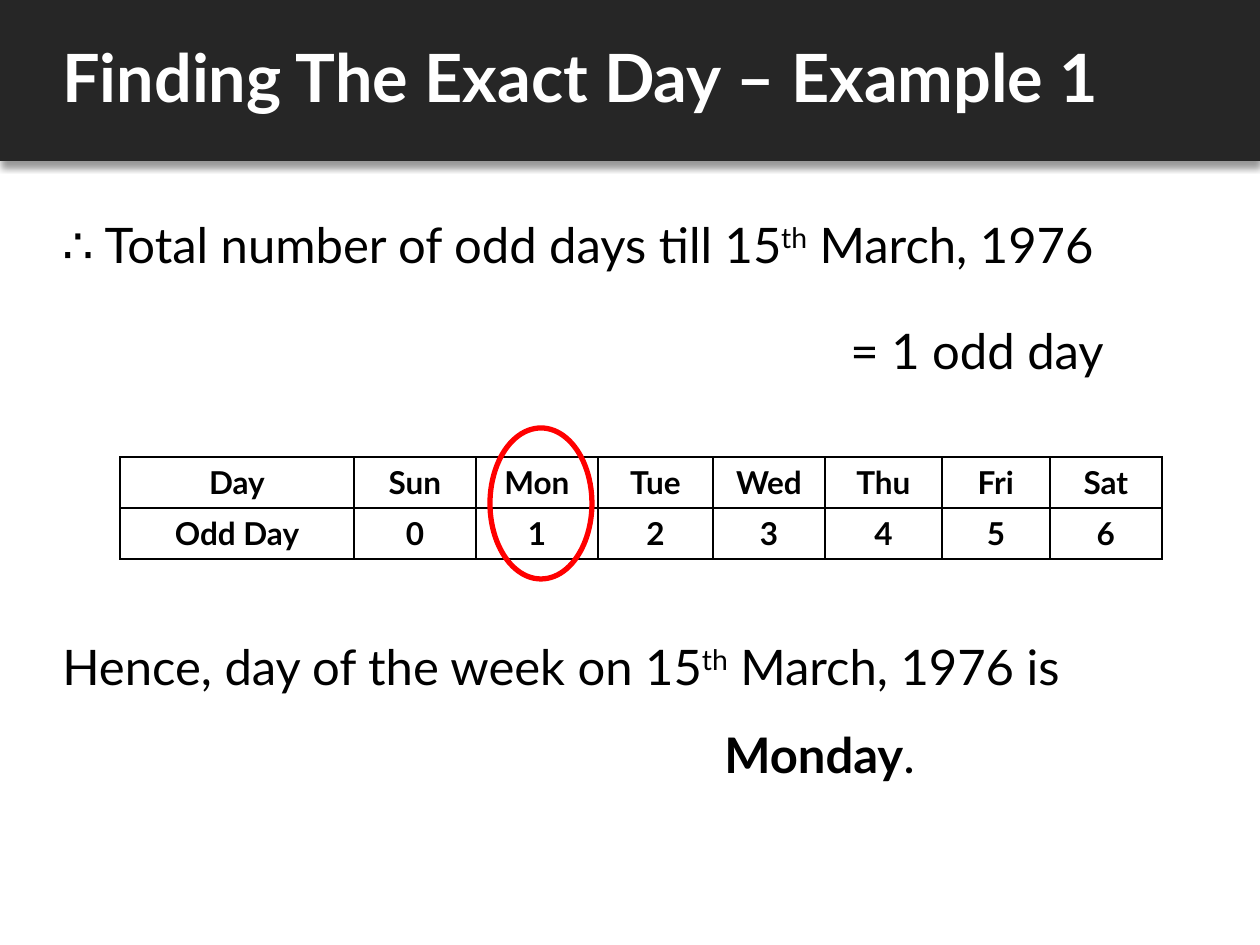
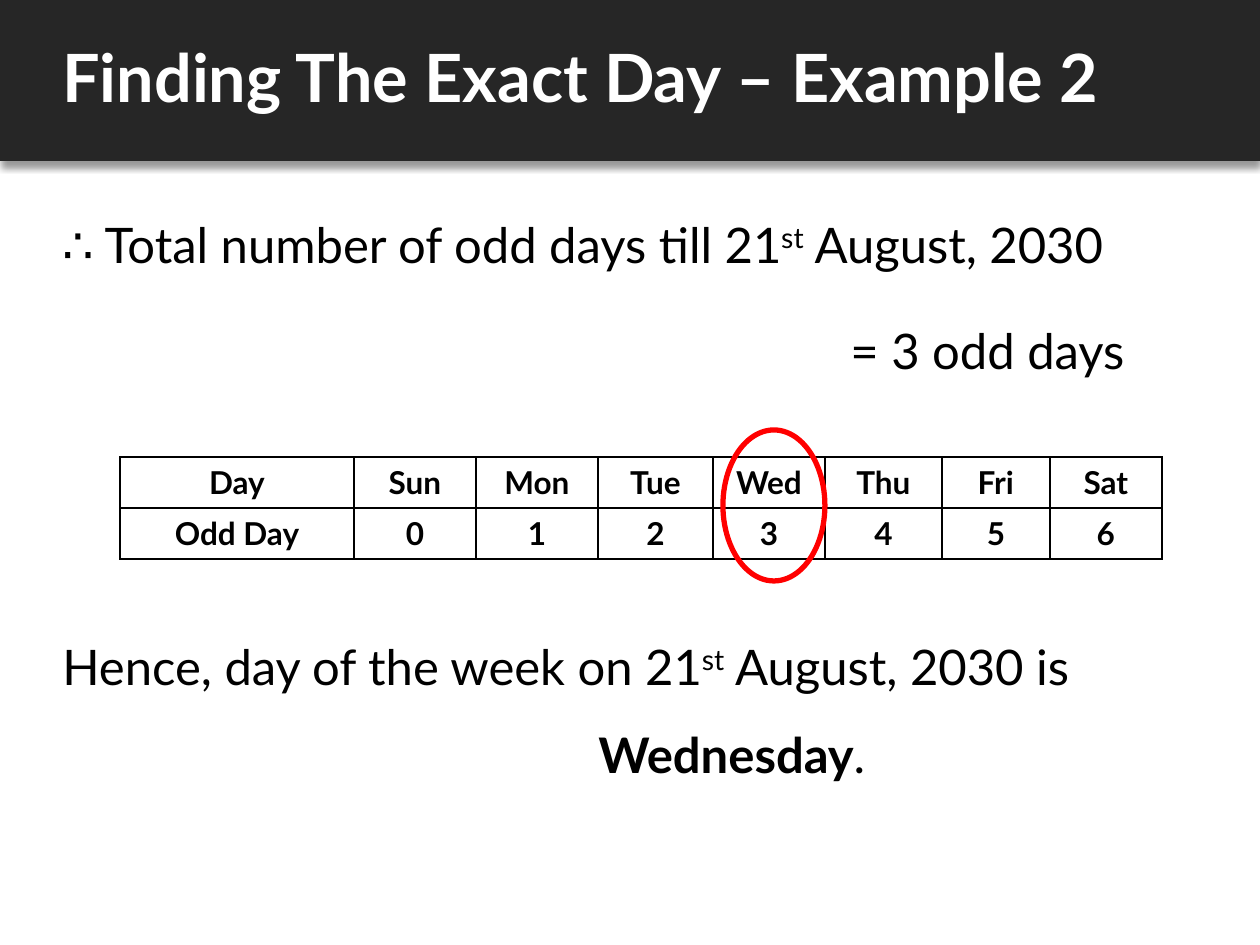
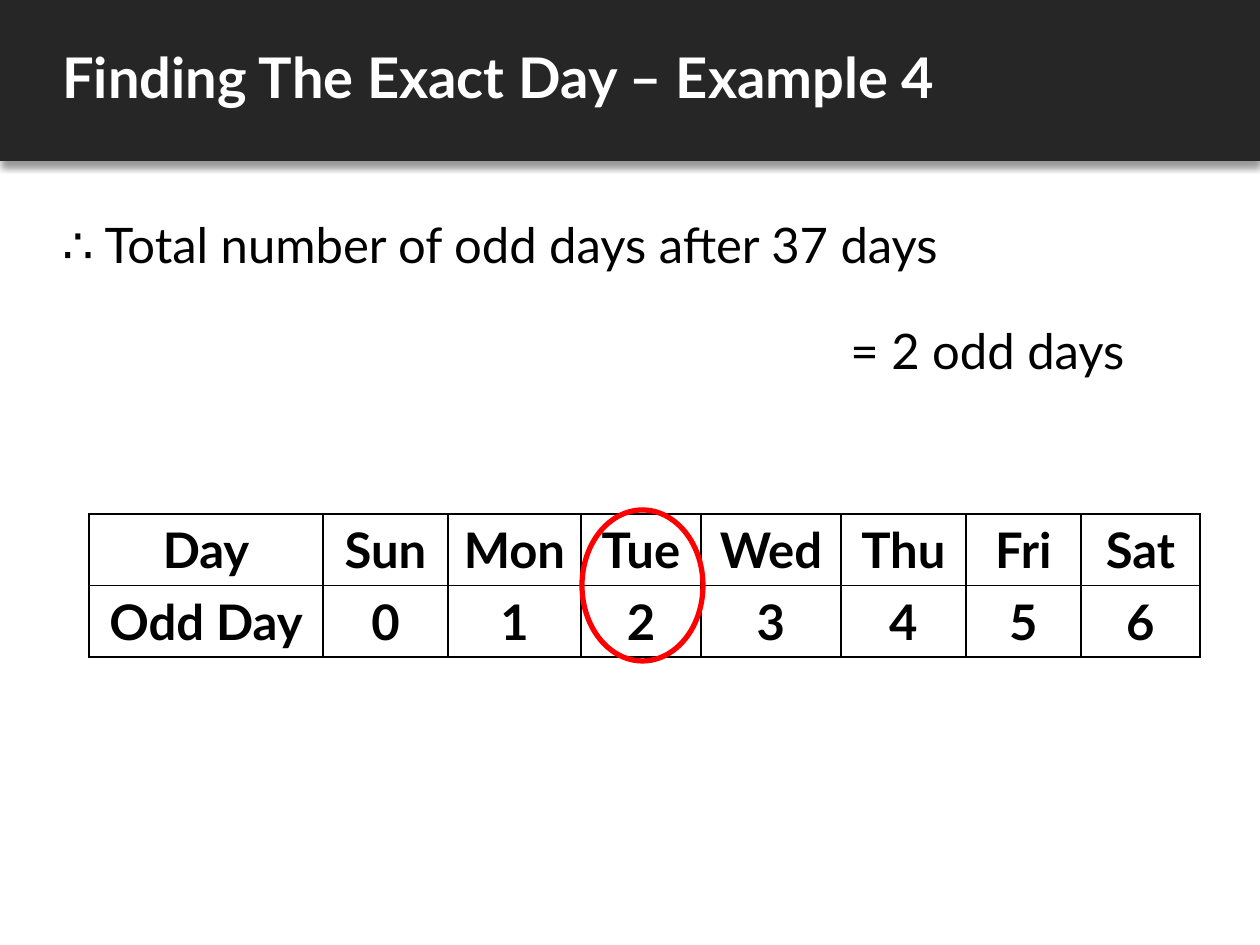
from dataclasses import dataclass

from lxml import etree
from pptx import Presentation, util as u
from pptx.dml.color import RGBColor
from pptx.enum import shapes, text
from pptx.oxml import parse_xml
from pptx.oxml.ns import nsdecls

PX = 914400 // 126


@dataclass(frozen=True)
class Theme:
    font: str = "Lato"
    ink: RGBColor = RGBColor(0, 0, 0)
    paper: RGBColor = RGBColor(255, 255, 255)
    band: RGBColor = RGBColor(0x26, 0x26, 0x26)
    ring: RGBColor = RGBColor(255, 0, 0)
    body_size: int = 28


THEME = Theme()

BAND_HEIGHT = 161
MARGIN = 50
RESULT_INDENT = 788
BLOCK_GAP = 130  # points left free for the table
RING_HEIGHT = 151

DAYS = ["Day", "Sun", "Mon", "Tue", "Wed", "Thu", "Fri", "Sat"]
ODD_DAYS = ["Odd Day", "0", "1", "2", "3", "4", "5", "6"]

SMALL_TABLE = dict(left=120, top=457, row=51, size=18,
                   columns=[234, 122, 122, 115, 112, 117, 108, 112])
LARGE_TABLE = dict(left=89, top=514, row=71, size=28,
                   columns=[234, 125, 133, 120, 140, 125, 115, 119])

# A line is (left indent in px, space before in points, [(text, style), ...]).
EXAMPLES = [
    dict(number=1, title_size=38, table=SMALL_TABLE, ring=(490, 428, 102), lines=[
        (0, 0, [("∴ Total number of odd days till 15", ""), ("th", "super"),
                (" March, 1976", "")]),
        (RESULT_INDENT, 10, [("= 1 odd day", "")]),
        (0, BLOCK_GAP, [("Hence, day of the week on 15", ""), ("th", "super"),
                        (" March, 1976 is", "")]),
        (662, 0, [("Monday", "bold"), (".", "")]),
    ]),
    dict(number=2, title_size=38, table=SMALL_TABLE, ring=(723, 430, 102), lines=[
        (0, 0, [("∴ Total number of odd days till 21", ""), ("st", "super"),
                (" August, 2030", "")]),
        (RESULT_INDENT, 10, [("= 3 odd days", "")]),
        (0, BLOCK_GAP, [("Hence, day of the week on 21", ""), ("st", "super"),
                        (" August, 2030 is", "")]),
        (536, 0, [("Wednesday", "bold"), (".", "")]),
    ]),
    dict(number=4, title_size=32, table=LARGE_TABLE, ring=(582, 510, 121), lines=[
        (0, 0, [("∴ Total number of odd days after 37 days", "")]),
        (RESULT_INDENT, 10, [("= 2 odd days", "")]),
    ]),
]


def style(font, size, color, bold=False):
    font.name = THEME.font
    font.size = u.Pt(size)
    font.color.rgb = color
    font.bold = bold


def add_borders(cell):
    properties = cell._tc.get_or_add_tcPr()
    for side in ("lnL", "lnR", "lnT", "lnB"):
        properties.append(parse_xml(
            f'<a:{side} {nsdecls("a")} w="12700"><a:solidFill>'
            f'<a:srgbClr val="{THEME.ink}"/></a:solidFill></a:{side}>'))


deck = Presentation()
deck.slide_width = 1260 * PX
deck.slide_height = 945 * PX

for example in EXAMPLES:
    page = deck.slides.add_slide(deck.slide_layouts[6])

    # Title band with a soft shadow below it
    band = page.shapes.add_shape(shapes.MSO_SHAPE.RECTANGLE, 0, 0,
                                 deck.slide_width, BAND_HEIGHT * PX)
    band.fill.solid()
    band.fill.fore_color.rgb = THEME.band
    band.line.fill.background()
    band.shadow.inherit = False
    effects = band._element.spPr.find("{*}effectLst")
    effects.append(etree.fromstring(
        f'<a:outerShdw {nsdecls("a")} blurRad="50800" dist="38100" dir="5400000" '
        'algn="t" rotWithShape="0"><a:srgbClr val="000000">'
        '<a:alpha val="40000"/></a:srgbClr></a:outerShdw>'))

    title = page.shapes.add_textbox(MARGIN * PX, 0, 1210 * PX, BAND_HEIGHT * PX)
    title.text_frame.word_wrap = True
    title.text_frame.vertical_anchor = text.MSO_ANCHOR.MIDDLE
    title.text_frame.text = f"Finding The Exact Day – Example {example['number']}"
    para = title.text_frame.paragraphs[0]
    para.line_spacing = 0.9
    para.space_after = u.Pt(6)
    style(para.runs[0].font, example["title_size"], THEME.paper, bold=True)

    # Working and answer
    body = page.shapes.add_textbox(MARGIN * PX, 179 * PX, 1183 * PX, 745 * PX)
    frame = body.text_frame
    frame.word_wrap = True
    for index, (indent, before, spans) in enumerate(example["lines"]):
        para = frame.add_paragraph() if index else frame.paragraphs[0]
        para.line_spacing = 1.5
        para.space_before = u.Pt(before)
        para._p.get_or_add_pPr().set("marL", str(indent * PX))
        for words, look in spans:
            span = para.add_run()
            span.text = words
            style(span.font, THEME.body_size, THEME.ink, bold=look == "bold")
            if look == "super":
                span.font._element.set("baseline", "30000")

    # Table of odd days
    layout = example["table"]
    grid = page.shapes.add_table(
        2, len(DAYS), layout["left"] * PX, layout["top"] * PX,
        sum(layout["columns"]) * PX, 2 * layout["row"] * PX).table
    grid.first_row = False
    grid.horz_banding = False
    for column, width in zip(grid.columns, layout["columns"]):
        column.width = width * PX
    for row, labels in zip(grid.rows, (DAYS, ODD_DAYS)):
        row.height = layout["row"] * PX
        for cell, label in zip(row.cells, labels):
            add_borders(cell)
            cell.fill.solid()
            cell.fill.fore_color.rgb = THEME.paper
            cell.text_frame.text = label
            para = cell.text_frame.paragraphs[0]
            para.alignment = text.PP_ALIGN.CENTER
            style(para.runs[0].font, layout["size"], THEME.ink, bold=True)

    # Ring around the matching day
    left, top, width = example["ring"]
    ring = page.shapes.add_shape(shapes.MSO_SHAPE.OVAL, left * PX, top * PX,
                                 width * PX, RING_HEIGHT * PX)
    ring.fill.background()
    ring.line.color.rgb = THEME.ring
    ring.line.width = u.Pt(3)
    ring.shadow.inherit = False

deck.save("out.pptx")
